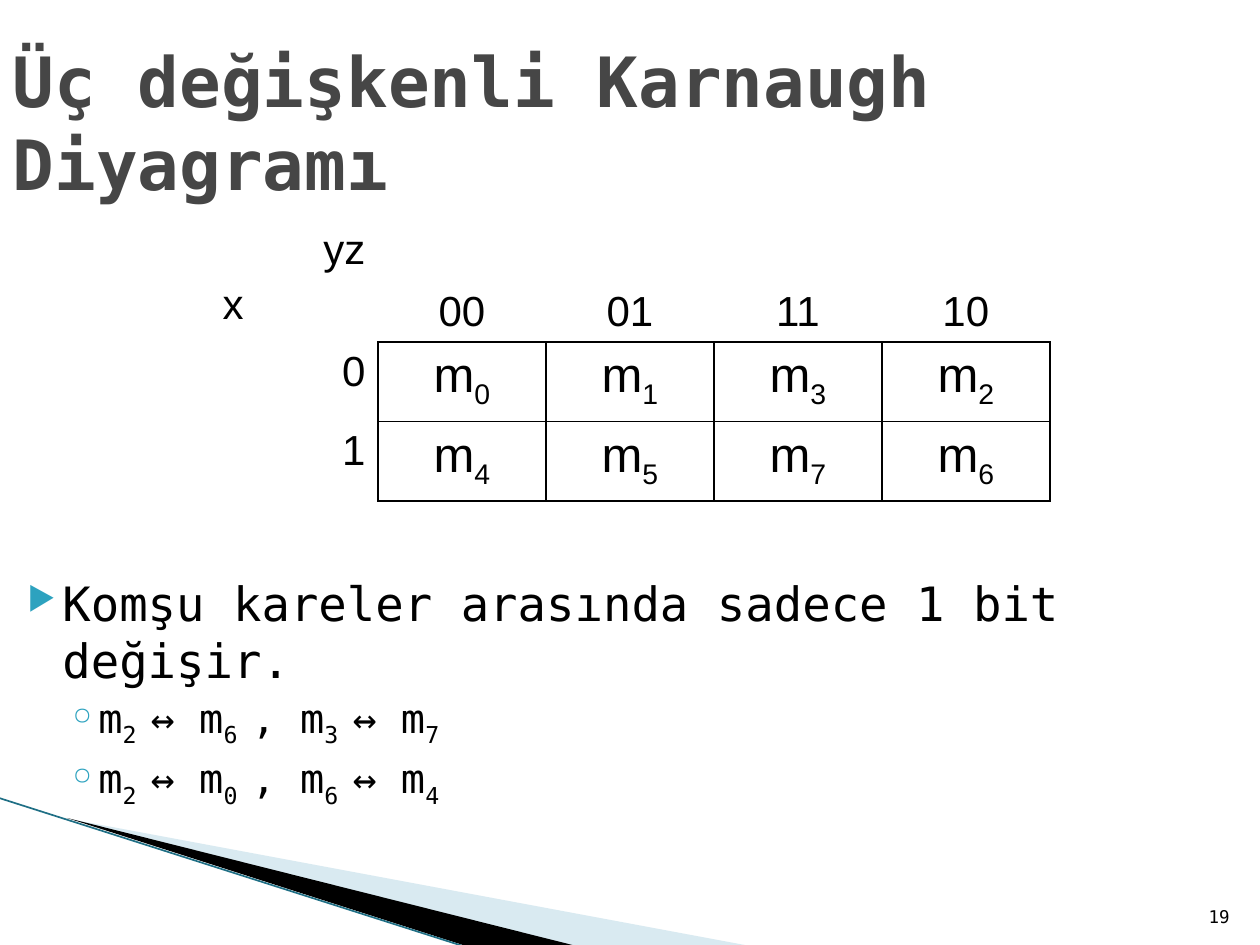
import pptx
import pptx.util
import pptx.dml.color
import pptx.enum.shapes
import pptx.enum.text
import pptx.oxml
import pptx.oxml.ns

PX = 914400 / 126
MONO = "DejaVu Sans Mono"
COLORS = {"text": "000000", "title": "464646", "bullet": "2DA2BF",
          "pale": "A0CBDC", "edge": "1F6F85"}
ALIGN = pptx.enum.text.PP_ALIGN
ANCHOR = pptx.enum.text.MSO_ANCHOR
NS = pptx.oxml.ns.nsdecls("a")


def px(n):
    return pptx.util.Emu(round(n * PX))


def write(p, text, size, font=MONO, color="text", bold=False, align=ALIGN.LEFT, before=0):
    p.alignment = align
    p.space_before = pptx.util.Pt(before)
    for i, part in enumerate(text.split("|")):
        r = p.add_run()
        r.text = part
        r.font.size = pptx.util.Pt(size)
        r.font.name = font
        r.font.bold = bold
        r.font.color.rgb = pptx.dml.color.RGBColor.from_string(COLORS[color])
        if i % 2:
            r._r.get_or_add_rPr().set("baseline", "-25000")


prs = pptx.Presentation()
prs.slide_width, prs.slide_height = px(1260), px(945)
s = prs.slides.add_slide(prs.slide_layouts[5])

wedges = [
    ("pale", [(69, 819), (750, 946), (575, 946)]),
    ("text", [(67, 818), (576, 946), (469, 947)]),
]
for color, points in wedges:
    builder = s.shapes.build_freeform(*points[0], scale=PX)
    builder.add_line_segments(points[1:])
    sp = builder.convert_to_shape()
    sp.shadow.inherit = False
    sp.fill.solid()
    sp.fill.fore_color.rgb = pptx.dml.color.RGBColor.from_string(COLORS[color])
    sp.line.fill.background()
    if color == "pale":
        clr = sp._element.spPr.find(".//" + pptx.oxml.ns.qn("a:srgbClr"))
        clr.append(pptx.oxml.parse_xml(f'<a:alpha {NS} val="40000"/>'))

edge = s.shapes.add_connector(pptx.enum.shapes.MSO_CONNECTOR.STRAIGHT,
                              px(-1), px(798), px(469), px(948))
edge.line.color.rgb = pptx.dml.color.RGBColor.from_string(COLORS["edge"])
edge.line.width = pptx.util.Pt(0.95)
edge._element.spPr.append(pptx.oxml.parse_xml(f"<a:effectLst {NS}/>"))

number = s.shapes.add_textbox(px(1192), px(883), px(50), px(50))
tf = number.text_frame
tf.word_wrap = True
tf.vertical_anchor = ANCHOR.BOTTOM
write(tf.paragraphs[0], "19", 10, align=ALIGN.RIGHT)

title = s.shapes.title
title.left, title.top, title.width, title.height = px(0), px(63), px(1134), px(116)
tf = title.text_frame
tf.word_wrap = True
tf.auto_size = pptx.enum.text.MSO_AUTO_SIZE.NONE
tf.vertical_anchor = ANCHOR.MIDDLE
write(tf.paragraphs[0], "Üç değişkenli Karnaugh Diyagramı", 39.6, color="title", bold=True)

body = s.shapes.add_textbox(px(0), px(568), px(1134), px(302))
tf = body.text_frame
tf.word_wrap = True
items = [
    ("Komşu kareler arasında sadece 1 bit değişir.", 27, 4, 0, 50, 35, "▶", 68),
    ("m|2 |↔ m|6 |, m|3 |↔ m|7", 23, 3.2, 1, 86, 32, "◦", 100),
    ("m|2 |↔ m|0 |, m|6 |↔ m|4", 23, 3.2, 1, 86, 32, "◦", 100),
]
for i, (text, size, before, level, margin, hang, bullet, scale) in enumerate(items):
    p = tf.add_paragraph() if i else tf.paragraphs[0]
    write(p, text, size, before=before)
    p.level = level
    pPr = p._p.get_or_add_pPr()
    pPr.set("marL", str(px(margin)))
    pPr.set("indent", str(-px(hang)))
    for xml in (f'<a:buClr {NS}><a:srgbClr val="{COLORS["bullet"]}"/></a:buClr>',
                f'<a:buSzPct {NS} val="{scale * 1000}"/>',
                f'<a:buChar {NS} char="{bullet}"/>'):
        pPr.append(pptx.oxml.parse_xml(xml))

rows = [
    ["yz", "00", "01", "11", "10"],
    ["0", "m|0", "m|1", "m|3", "m|2"],
    ["1", "m|4", "m|5", "m|7", "m|6"],
]
frame = s.shapes.add_table(3, 5, px(210), px(220), px(840), px(265))
table = frame.table
table.first_row = table.horz_banding = False
table._tbl.tblPr.find(pptx.oxml.ns.qn("a:tableStyleId")).text = "{2D5ABB26-0587-4C30-8999-92F81FD0307C}"
for col in table.columns:
    col.width = px(168)
for row, height in zip(table.rows, (115, 75, 75)):
    row.height = px(height)

for y, row in enumerate(rows):
    for x, text in enumerate(row):
        cell = table.cell(y, x)
        p = cell.text_frame.paragraphs[0]
        write(p, text, 28 if x and y else 24, font="Arial", before=4.8,
              align=ALIGN.CENTER if x else ALIGN.RIGHT)
        if x and not y:
            cell.vertical_anchor = ANCHOR.BOTTOM
        sides = {"lnL": x and y, "lnR": y, "lnT": x and y, "lnB": x}
        tcPr = cell._tc.get_or_add_tcPr()
        for tag in [tag for tag, shown in sides.items() if shown]:
            tcPr.append(pptx.oxml.parse_xml(
                f'<a:{tag} {NS} w="12700"><a:solidFill>'
                f'<a:srgbClr val="{COLORS["text"]}"/></a:solidFill></a:{tag}>'))
        cell.fill.background()
write(table.cell(0, 0).text_frame.add_paragraph(), "x", 24, font="Arial", before=4.8)

prs.save("out.pptx")
